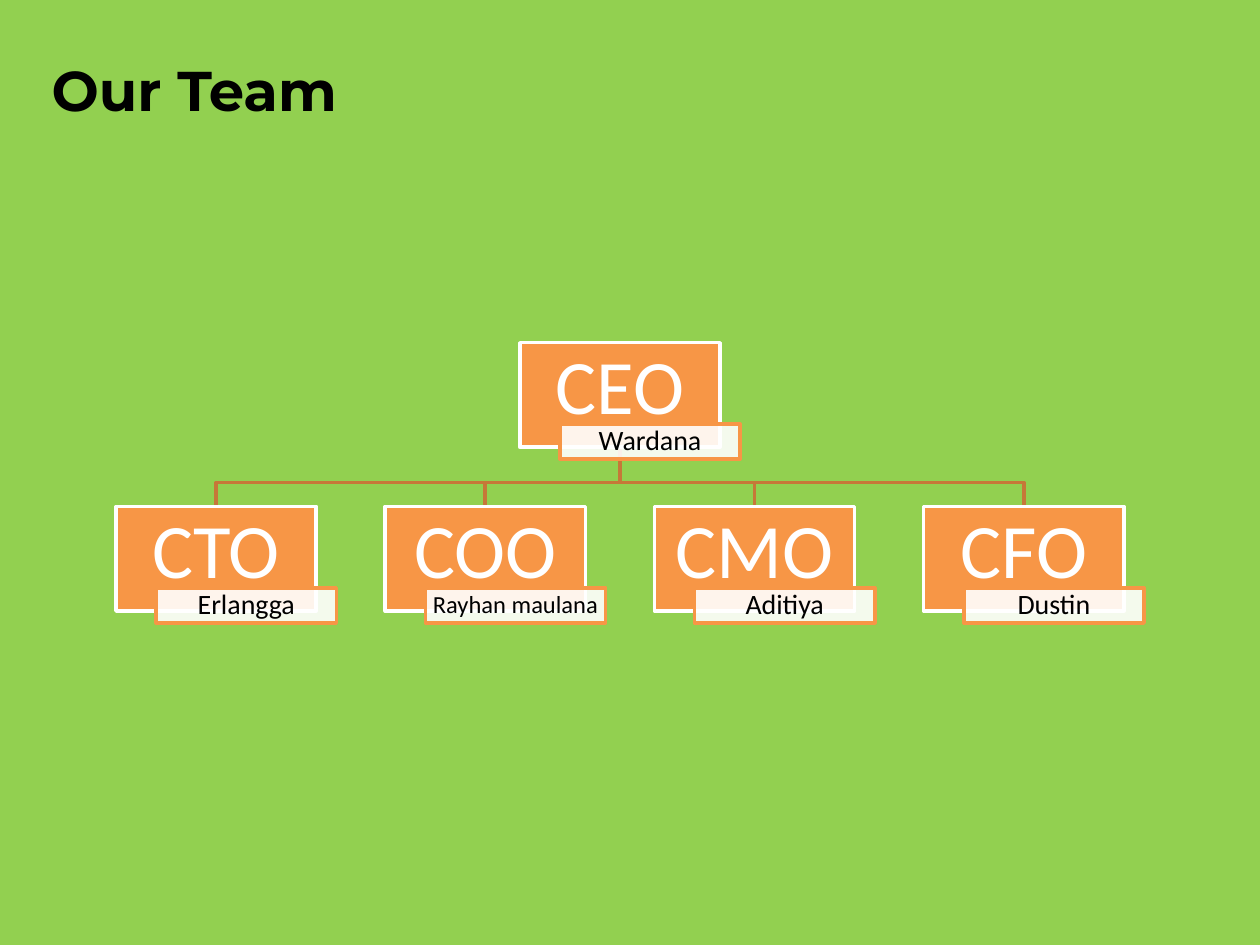
import pptx
import pptx.util
import pptx.dml.color
import pptx.enum.text
import pptx.enum.shapes
import pptx.oxml.ns
import lxml.etree

Inches, Pt = pptx.util.Inches, pptx.util.Pt
LEFT, TOP = 0.92, 2.72
COL, ROW = 6.41 / 3, 1.3
BOX_W, BOX_H = 1.59, 0.83
TAG_DX, TAG_DY, TAG_W, TAG_H = 0.32, 0.645, 1.43, 0.28
ORANGE, RUST, WHITE, BLACK = "F79646", "C67838", "FFFFFF", "000000"

# role, name, name size, column, row
TEAM = [
    ("CEO", "Wardana", 16, 1.5, 0),
    ("CTO", "Erlangga", 16, 0, 1),
    ("COO", "Rayhan maulana", 14, 1, 1),
    ("CMO", "Aditiya", 16, 2, 1),
    ("CFO", "Dustin", 16, 3, 1),
]


def rgb(color):
    """Turn a hex string into a colour."""
    return pptx.dml.color.RGBColor.from_string(color)


def cell(col, row):
    """Return the left and top of a grid position in inches."""
    return LEFT + col * COL, TOP + row * ROW


def write(tf, text, size, color, font="Calibri", align="CENTER", bold=False):
    """Write one run into a vertically centred text frame."""
    tf.word_wrap = True
    tf.auto_size = pptx.enum.text.MSO_AUTO_SIZE.NONE
    tf.vertical_anchor = pptx.enum.text.MSO_ANCHOR.MIDDLE
    p = tf.paragraphs[0]
    p.alignment = getattr(pptx.enum.text.PP_ALIGN, align)
    r = p.add_run()
    r.text = text
    r.font.name, r.font.size, r.font.bold = font, Pt(size), bold
    r.font.color.rgb = rgb(color)
    return p


def add_title(s, text):
    """Place and format the title placeholder."""
    sp = s.shapes.title
    sp.left, sp.top, sp.width, sp.height = map(Inches, (0.31, 0.33, 4.35, 0.76))
    write(sp.text_frame, text, 32, BLACK, "Montserrat", "LEFT", True)


def add_box(s, at, fill, line, text, size, color, insets, opacity=100):
    """Add an outlined rectangle with centred text."""
    sp = s.shapes.add_shape(pptx.enum.shapes.MSO_SHAPE.RECTANGLE, *map(Inches, at))
    sp.shadow.inherit = False
    sp.fill.solid()
    sp.fill.fore_color.rgb = rgb(fill)
    if opacity < 100:
        qn = pptx.oxml.ns.qn
        clr = sp.fill._xPr.find(qn("a:solidFill")).find(qn("a:srgbClr"))
        lxml.etree.SubElement(clr, qn("a:alpha")).set("val", str(opacity * 1000))
    sp.line.color.rgb = rgb(line)
    sp.line.width = Pt(2)
    tf = sp.text_frame
    tf.margin_left, tf.margin_top, tf.margin_right, tf.margin_bottom = map(Inches, insets)
    write(tf, text, size, color).line_spacing = 0.9


def add_member(s, role, name, size, col, row):
    """Add a role box with its overlapping name tag."""
    x, y = cell(col, row)
    add_box(s, (x, y, BOX_W, BOX_H), ORANGE, WHITE, role, 44, WHITE,
            (0.03, 0.03, 0.03, 0.12))
    add_box(s, (x + TAG_DX, y + TAG_DY, TAG_W, TAG_H), WHITE, ORANGE, name, size, BLACK,
            (0.04, 0.01, 0.04, 0.01), 90)


def add_branch(s, parent, child):
    """Join the bottom of a parent box to the top of a child box."""
    (x1, y1), (x2, y2) = cell(*parent), cell(*child)
    x1, x2, y1 = x1 + BOX_W / 2, x2 + BOX_W / 2, y1 + BOX_H
    bend = y1 + 0.28
    fb = s.shapes.build_freeform(Inches(x1), Inches(y1))
    points = [(x1, bend), (x2, bend), (x2, y2)]
    fb.add_line_segments([(Inches(x), Inches(y)) for x, y in points], close=False)
    sp = fb.convert_to_shape()
    sp.shadow.inherit = False
    sp.fill.background()
    sp.line.color.rgb = rgb(RUST)
    sp.line.width = Pt(2)


def main():
    """Build the team chart slide."""
    prs = pptx.Presentation()
    prs.slide_width, prs.slide_height = Inches(10), Inches(7.5)
    s = prs.slides.add_slide(prs.slide_layouts[5])
    s.background.fill.solid()
    s.background.fill.fore_color.rgb = rgb("92D050")
    add_title(s, "Our Team")
    chief, *reports = TEAM
    for member in reports:
        add_branch(s, chief[3:], member[3:])
    for member in TEAM:
        add_member(s, *member)
    prs.save("out.pptx")


main()
